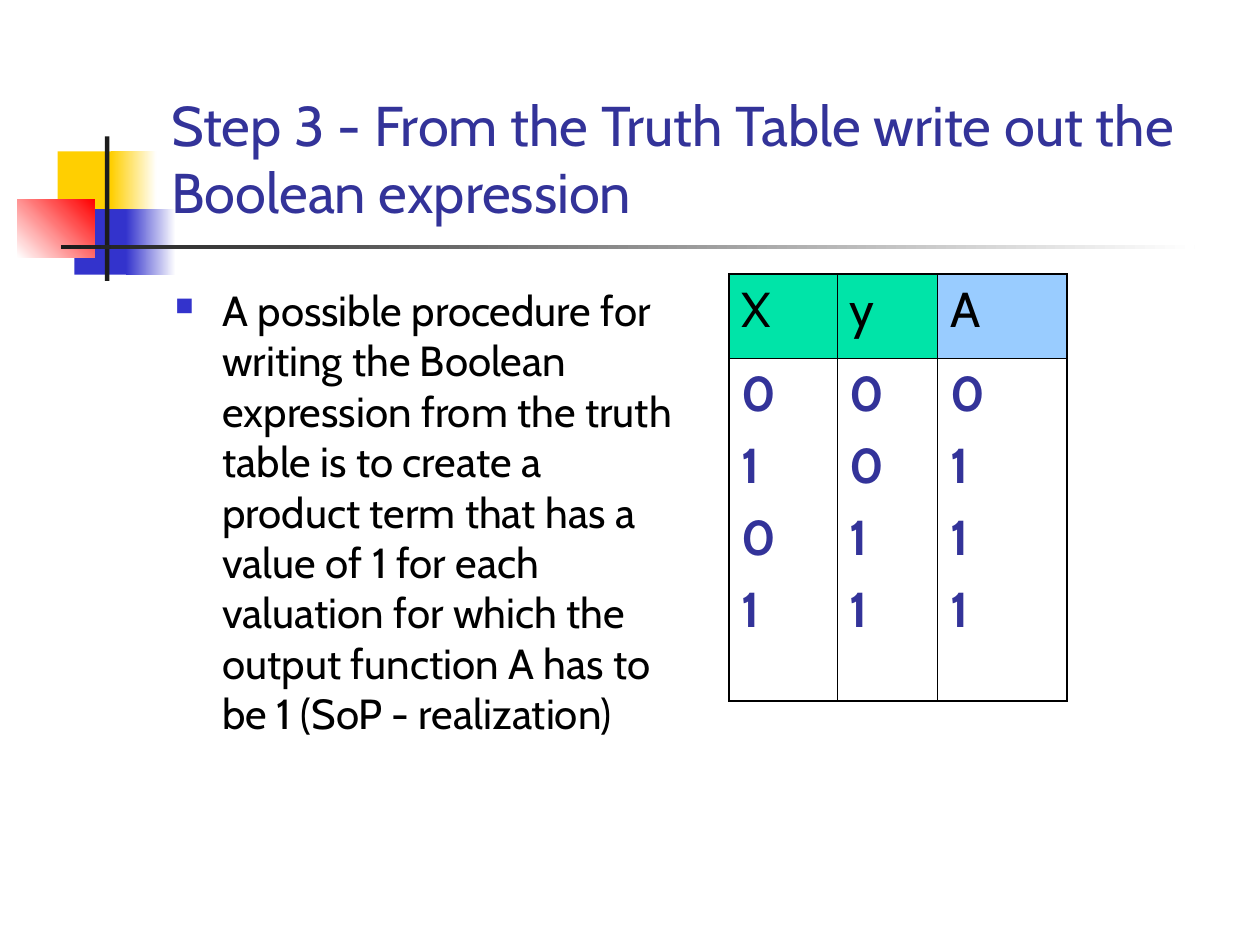
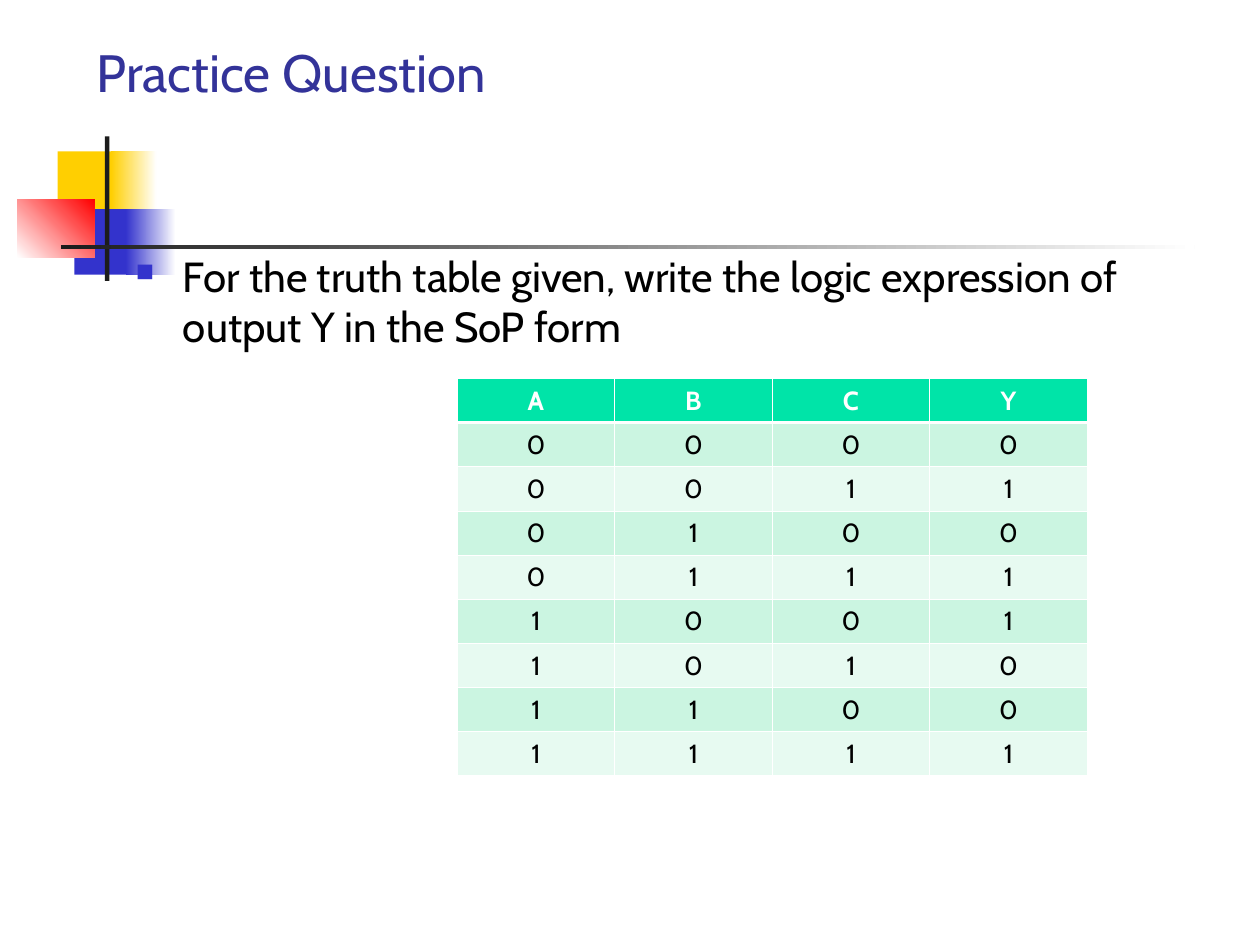
from lxml import etree
from pptx import Presentation
from pptx import util as u
from pptx.dml.color import RGBColor
from pptx.enum import shapes, text
from pptx.oxml import ns

FONT = "Cabin"
COLORS = {
    "white": "FFFFFF", "black": "000000", "line": "1C1C1C", "navy": "333399",
    "blue": "3333CC", "yellow": "FFCF01", "red": "FF0000", "green": "00E4A8",
    "sky": "99CCFF", "mint": "CBF5E1", "pale": "E7FAF1",
}
MOTIF = [
    ((33, 86.5, 34.5, 37.5), ["yellow"], 0),
    ((63.5, 86.5, 26, 37.5), ["yellow", "white"], 0),
    ((42.5, 119.5, 33, 37.5), ["blue"], 0),
    ((72, 119.5, 28.5, 37.5), ["blue", "white"], 0),
    ((10, 113.75, 44, 33.5), ["white", "red"], 45),
    ((60, 78, 2.5, 82.5), ["line"], 0),
    ((34.75, 140, 648, 2.5), ["line", "white"], 0),
]


class Deck:
    """Holds the style and the current slide, with a method for each element."""

    def __init__(self):
        self.prs = Presentation()
        self.prs.slide_width, self.prs.slide_height = u.Pt(720), u.Pt(540)
        self.s = None

    def rgb(self, name):
        return RGBColor.from_string(COLORS[name])

    def box(self, at):
        return [u.Pt(v) for v in at]

    def slide(self, title, at, size):
        self.s = self.prs.slides.add_slide(self.prs.slide_layouts[5])
        for place, fill, angle in MOTIF:
            self.rect(place, fill, angle)
        sp = self.s.shapes.title
        sp.left, sp.top, sp.width, sp.height = self.box(at)
        self.s.shapes.element.append(sp.element)
        tf = sp.text_frame
        tf.text = title
        tf.word_wrap = True
        tf.auto_size = text.MSO_AUTO_SIZE.NONE
        tf.vertical_anchor = text.MSO_ANCHOR.BOTTOM
        self.style(tf, size, "navy")

    def style(self, tf, size, color, bold=False, align="LEFT", before=0):
        for p in tf.paragraphs:
            p.alignment = text.PP_ALIGN[align]
            p.space_before = u.Pt(before)
            for r in p.runs:
                r.font.name, r.font.size, r.font.bold = FONT, u.Pt(size), bold
                r.font.color.rgb = self.rgb(color)

    def rect(self, at, fill, angle):
        sp = self.s.shapes.add_shape(shapes.MSO_SHAPE.RECTANGLE, *self.box(at))
        sp.shadow.inherit = False
        sp.line.fill.background()
        if len(fill) == 1:
            sp.fill.solid()
            sp.fill.fore_color.rgb = self.rgb(fill[0])
            return
        sp.fill.gradient()
        sp.fill.gradient_angle = angle
        for stop, color in zip(sp.fill.gradient_stops, fill):
            stop.color.rgb = self.rgb(color)

    def bullet(self, words, at):
        tf = self.s.shapes.add_textbox(*self.box(at)).text_frame
        tf.word_wrap = True
        tf.text = words
        self.style(tf, 24, "black", before=6)
        pPr = tf.paragraphs[0]._p.get_or_add_pPr()
        pPr.set("marL", str(u.Pt(27)))
        pPr.set("indent", str(u.Pt(-27)))
        clr = etree.SubElement(pPr, ns.qn("a:buClr"))
        etree.SubElement(clr, ns.qn("a:srgbClr"), val=COLORS["blue"])
        etree.SubElement(pPr, ns.qn("a:buSzPct"), val="60000")
        etree.SubElement(pPr, ns.qn("a:buChar"), char="■")

    def borders(self, cell, color, widths):
        tcPr = cell._tc.get_or_add_tcPr()
        for side, width in zip("LRTB", widths):
            ln = etree.SubElement(tcPr, ns.qn("a:ln" + side), w=str(u.Pt(width)))
            fill = etree.SubElement(ln, ns.qn("a:solidFill"))
            etree.SubElement(fill, ns.qn("a:srgbClr"), val=COLORS[color])

    def table(self, rows, at, widths, heights, fills, head, body, margin,
              line, outer, inner, rule):
        gf = self.s.shapes.add_table(len(rows), len(widths), *self.box(at))
        tbl = gf.table
        tbl.first_row = tbl.horz_banding = False
        for col, width in zip(tbl.columns, widths):
            col.width = u.Pt(width)
        across = [outer] + [inner] * (len(widths) - 1) + [outer]
        down = [outer, rule] + [inner] * (len(rows) - 2) + [outer]
        for i, row in enumerate(rows):
            tbl.rows[i].height = u.Pt(heights[i])
            for j, value in enumerate(row):
                cell = tbl.cell(i, j)
                cell.margin_left = cell.margin_right = u.Pt(margin)
                cell.margin_top = cell.margin_bottom = u.Pt(3.6)
                cell.text_frame.text = value
                self.style(cell.text_frame, **(body if i else head))
                self.borders(cell, line, across[j:j + 2] + down[i:i + 2])
                fill = fills(i, j)
                if fill:
                    cell.fill.solid()
                    cell.fill.fore_color.rgb = self.rgb(fill)
                else:
                    cell.fill.background()


def main():
    d = Deck()

    d.slide("Step 3 - From the Truth Table write out the Boolean expression",
            (90.75, 16.5, 613.5, 115.5), 32)
    d.bullet("A possible procedure for writing the Boolean expression from the "
             "truth table is to create a product term that has a value of 1 for "
             "each valuation for which the output function A has to be 1 "
             "(SoP - realization)", (93, 159, 300, 324))
    head = dict(size=28, color="black", before=7)
    columns = ["\n".join(bits) for bits in ("0101", "0011", "0111")]
    d.table(["XyA", columns], (416.75, 156.75, 193, 244), (61.5, 57.5, 74),
            (48, 196),
            lambda i, j: None if i else ("green", "green", "sky")[j],
            head, {**head, "color": "navy", "bold": True}, 7.2,
            "black", 1.08, 0.45, 0.45)

    d.slide("Practice Question", (48, 26, 620.5, 36.5), 30)
    d.bullet("For the truth table given, write the logic expression of output Y "
             "in the SoP form", (70.5, 139.5, 612, 324))
    outputs = "01011001"
    rows = ["ABCY"] + [f"{n:03b}{y}" for n, y in enumerate(outputs)]
    body = dict(size=15, color="black", align="CENTER")
    d.table(rows, (261.25, 216.25, 360, 211), [90] * 4, [23.4] * len(rows),
            lambda i, j: ("pale", "mint")[i % 2] if i else "green",
            {**body, "color": "white", "bold": True}, body, 6,
            "white", 0.45, 0.45, 1.47)

    d.prs.save("out.pptx")


if __name__ == "__main__":
    main()
